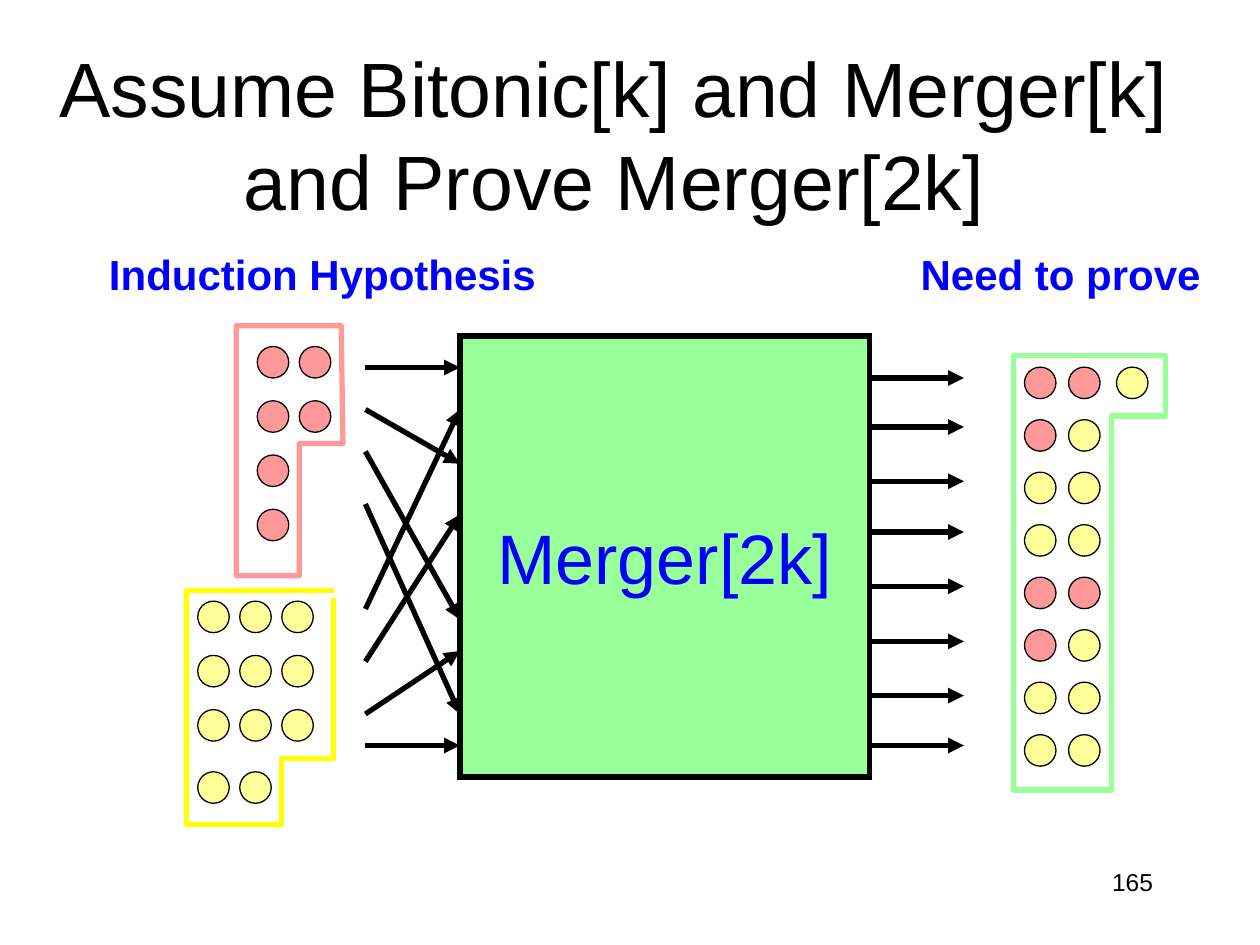
import pptx
import pptx.util
import pptx.dml.color
import pptx.enum.shapes
import pptx.enum.text
import pptx.oxml.ns
from dataclasses import dataclass
from lxml import etree

Pt = pptx.util.Pt
Align = pptx.enum.text.PP_ALIGN
Anchor = pptx.enum.text.MSO_ANCHOR
Shape = pptx.enum.shapes.MSO_SHAPE


def color(value):
    return pptx.dml.color.RGBColor.from_string(value)


def add_element(parent, tag, **attributes):
    return etree.SubElement(parent, pptx.oxml.ns.qn(tag), attributes)


@dataclass(frozen=True)
class Theme:
    font: str = "Arial"
    ink: str = "000000"
    accent: str = "0000FF"
    pink: str = "FF9999"
    cream: str = "FFFF99"
    yellow: str = "FFFF00"
    green: str = "99FF99"
    title_size: float = 44
    merger_size: float = 40
    label_size: float = 24
    number_size: float = 14
    heavy: float = 3
    thin: float = 0.75
    token: float = 18


class Painter:
    def __init__(self, page, theme):
        self.page = page
        self.theme = theme

    def fill_text(self, box, text, size, tint, align=Align.LEFT,
                  anchor=Anchor.TOP, wrap=True, bold=False):
        frame = box.text_frame
        for name, value in {"word_wrap": wrap, "vertical_anchor": anchor}.items():
            setattr(frame, name, value)
        para = frame.paragraphs[0]
        para.alignment = align
        span = para.add_run()
        span.text = text
        formats = {"name": self.theme.font, "size": Pt(size), "bold": bold}
        for name, value in formats.items():
            setattr(span.font, name, value)
        span.font.color.rgb = color(tint)

    def text(self, place, text, size, tint, **formats):
        box = self.page.shapes.add_textbox(*map(Pt, place))
        self.fill_text(box, text, size, tint, **formats)

    def paint(self, shape, fill, line, width):
        """Set fill (None for an open outline) and line, without shadow."""
        shape.shadow.inherit = False
        if fill:
            shape.fill.solid()
            shape.fill.fore_color.rgb = color(fill)
        else:
            shape.fill.background()
        shape.line.color.rgb = color(line)
        shape.line.width = Pt(width)

    def block(self, place, text):
        box = self.page.shapes.add_shape(Shape.RECTANGLE, *map(Pt, place))
        self.paint(box, self.theme.green, self.theme.ink, self.theme.heavy)
        add_element(box.line._get_or_add_ln(), "a:miter", lim="800000")
        self.fill_text(box, text, self.theme.merger_size, self.theme.accent,
                       align=Align.CENTER, anchor=Anchor.MIDDLE, wrap=False)

    def arrow(self, start_x, start_y, end_x, end_y):
        line = self.page.shapes.add_connector(
            pptx.enum.shapes.MSO_CONNECTOR.STRAIGHT,
            *map(Pt, (start_x, start_y, end_x, end_y)))
        line.line.color.rgb = color(self.theme.ink)
        line.line.width = Pt(self.theme.heavy)
        add_element(line.line._get_or_add_ln(), "a:tailEnd", type="triangle")
        add_element(line._element.spPr, "a:effectLst")

    def tokens(self, columns, rows, pattern):
        """Draw one circle for each letter of the pattern: p pink, c cream."""
        fills = {"p": self.theme.pink, "c": self.theme.cream}
        size = Pt(self.theme.token)
        for top, letters in zip(rows, pattern):
            for left, letter in zip(columns, letters):
                circle = self.page.shapes.add_shape(
                    Shape.OVAL, Pt(left), Pt(top), size, size)
                self.paint(circle, fills[letter], self.theme.ink, self.theme.thin)

    def outline(self, points, tint, close=True):
        corners = [(Pt(x), Pt(y)) for x, y in points]
        builder = self.page.shapes.build_freeform(*corners[0], scale=1.0)
        builder.add_line_segments(corners[1:], close=close)
        self.paint(builder.convert_to_shape(), None, tint, self.theme.heavy)


def main():
    deck = pptx.Presentation()
    deck.slide_width, deck.slide_height = Pt(720), Pt(540)
    theme = Theme()
    painter = Painter(deck.slides.add_slide(deck.slide_layouts[6]), theme)

    painter.text((516, 492, 150, 36), "165", theme.number_size, theme.ink,
                 align=Align.RIGHT)
    painter.text((0, 31, 702, 90),
                 "Assume Bitonic[k] and Merger[k] and Prove Merger[2k]",
                 theme.title_size, theme.ink,
                 align=Align.CENTER, anchor=Anchor.MIDDLE)

    merger_left, merger_width, reach = 262.8, 234, 54
    merger_right = merger_left + merger_width
    painter.block((merger_left, 192, merger_width, 252), "Merger[2k]")
    input_wires = [(210, 210), (234, 265), (258, 354), (288, 408),
                   (348, 234), (378, 294), (408, 372), (426, 426)]
    for start, end in input_wires:
        painter.arrow(merger_left - reach, start, merger_left, end)
    for height in (216, 244, 275, 304, 335, 366.5, 397.5, 426):
        painter.arrow(merger_right, height, merger_right + reach, height)

    painter.tokens((113, 137, 161), (343.5, 374.5, 405.5, 441),
                   ("ccc", "ccc", "ccc", "cc"))
    painter.outline([(190.8, 342), (190.8, 433.5), (160.8, 433.5), (160.8, 471),
                     (106.5, 471), (106.5, 337.5), (190.8, 337.5)],
                    theme.yellow, close=False)

    painter.tokens((147, 171), [198 + 31 * row for row in range(4)],
                   ("pp", "pp", "p", "p"))
    painter.outline([(195, 186.2), (196, 253.5), (171, 253.5), (171, 329),
                     (135, 329), (135, 186.2)], theme.pink)

    painter.tokens((585.4, 610.6, 638), [209.8 + 30 * row for row in range(8)],
                   ("ppc", "pc", "cc", "cc", "pp", "pc", "cc", "cc"))
    painter.outline([(579, 203), (579, 451.5), (635.2, 451.5), (635.2, 237.8),
                     (666, 237.8), (666, 203)], theme.green)

    for left, width, label in ((55.2, 260.6, "Induction Hypothesis"),
                               (519, 176.4, "Need to prove")):
        painter.text((left, 138.4, width, 36), label, theme.label_size,
                     theme.accent, wrap=False, bold=True)

    deck.save("out.pptx")


if __name__ == "__main__":
    main()
